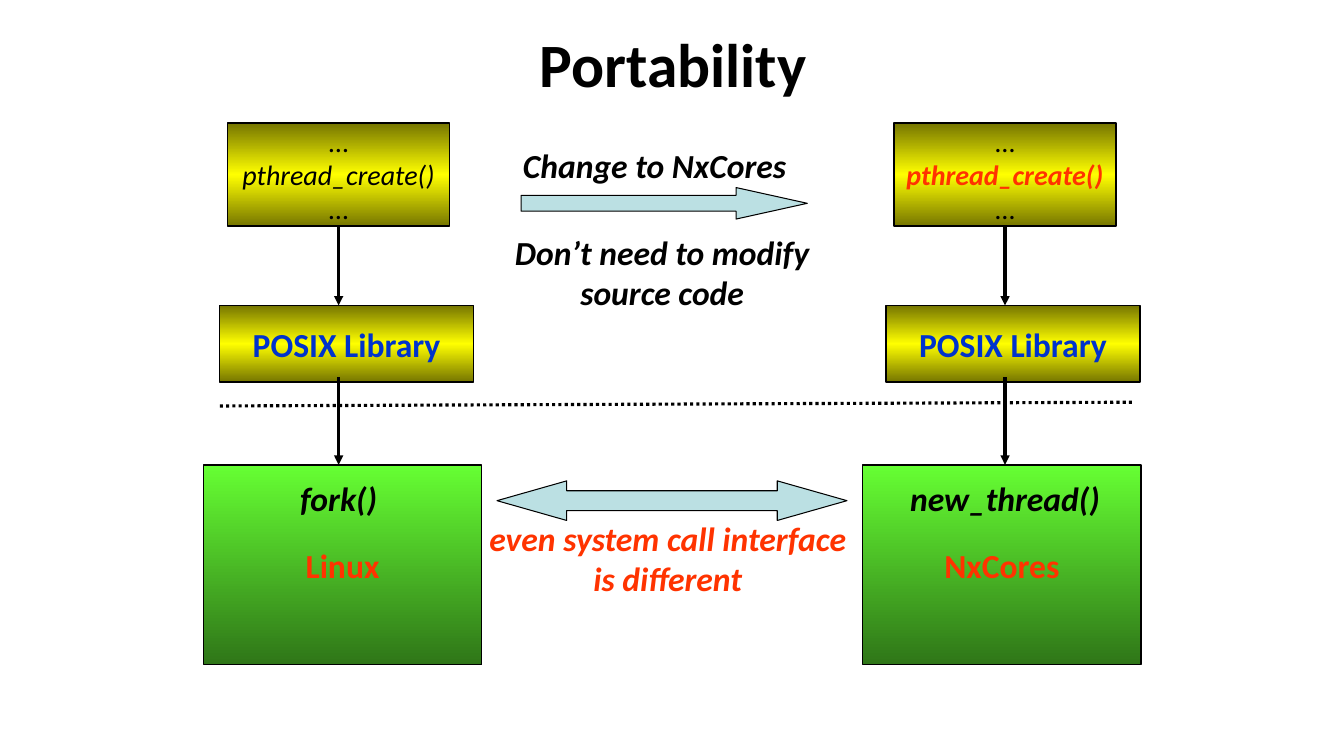
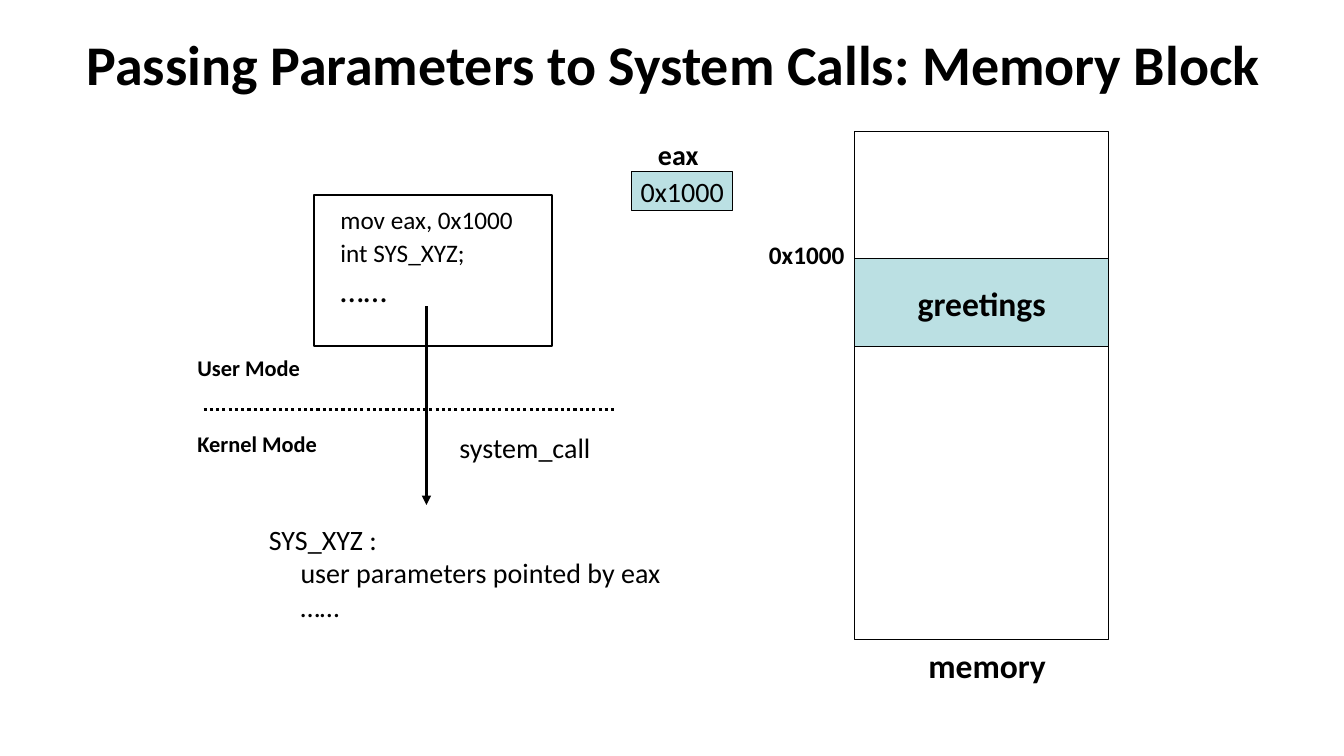
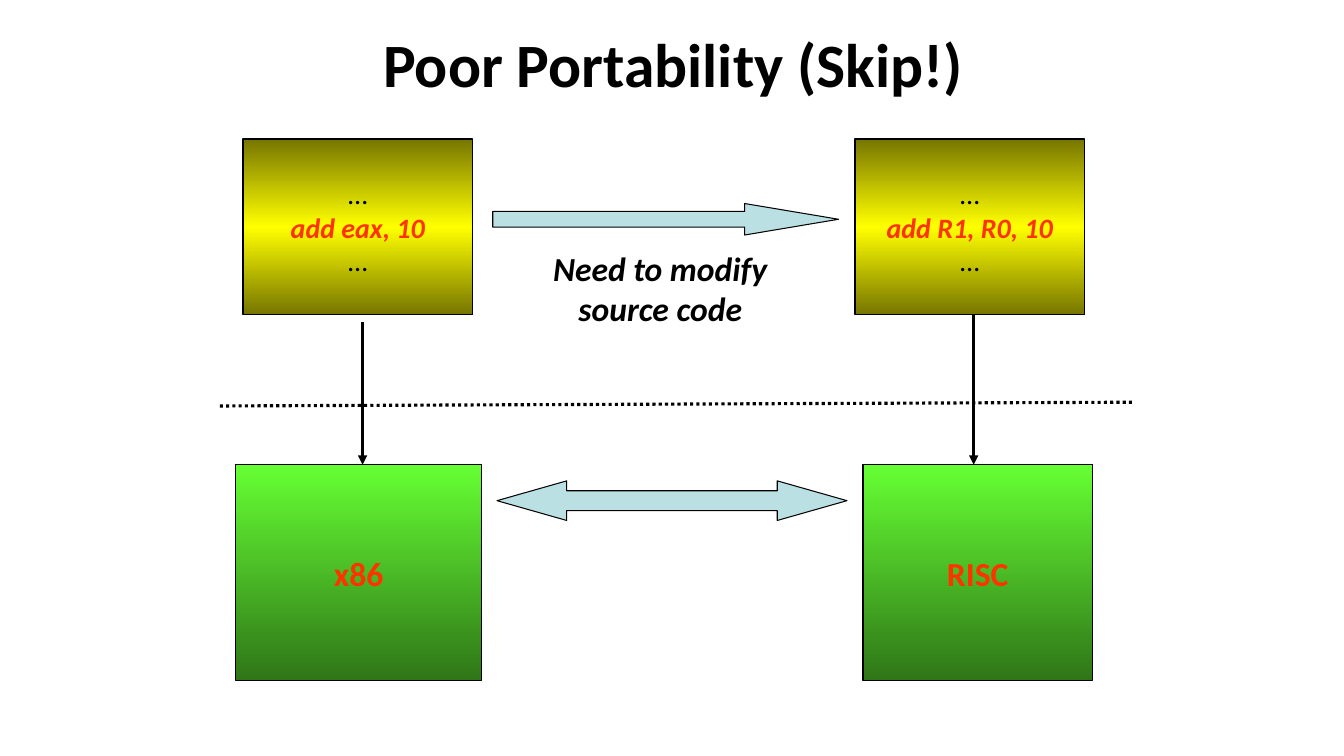
from collections import namedtuple
from dataclasses import dataclass, replace

from lxml.etree import SubElement
from pptx import Presentation
from pptx.dml.color import RGBColor
from pptx.enum.dml import MSO_LINE
from pptx.enum.shapes import MSO_CONNECTOR, MSO_SHAPE
from pptx.enum.text import MSO_ANCHOR, PP_ALIGN
from pptx.oxml.ns import qn
from pptx.util import Pt

BLACK = RGBColor(0x00, 0x00, 0x00)
RED = RGBColor(0xFF, 0x33, 0x00)
BLUE = RGBColor(0x00, 0x33, 0xCC)
PALE_BLUE = RGBColor(0xBB, 0xE0, 0xE3)
OLIVE = RGBColor(0x76, 0x76, 0x00)
YELLOW = RGBColor(0xFF, 0xFF, 0x00)
LIGHT_GREEN = RGBColor(0x66, 0xFF, 0x33)
DARK_GREEN = RGBColor(0x2F, 0x76, 0x18)

GOLD_BAND = [(0, OLIVE), (50, YELLOW), (100, OLIVE)]
GREEN_FADE = [(0, LIGHT_GREEN), (100, DARK_GREEN)]
FONT = "Calibri"
Box = namedtuple("Box", "left top width height")


@dataclass(frozen=True)
class Style:
    size: int = 20
    color: RGBColor = BLACK
    bold: bool = False
    italic: bool = False


PLAIN = Style()
CODE = Style(italic=True)
CHANGED_CODE = Style(color=RED, bold=True, italic=True)
HEADING = Style(24, bold=True)
NOTE = Style(24, bold=True, italic=True)
WARNING = replace(NOTE, color=RED)
SYSTEM = Style(24, RED, bold=True)
LIBRARY = Style(24, BLUE, bold=True)
MODE = Style(16, bold=True)


def write(frame, lines, align):
    for index, (text, style) in enumerate(lines):
        paragraph = frame.paragraphs[0] if index == 0 else frame.add_paragraph()
        paragraph.alignment = align
        run = paragraph.add_run()
        run.text = text
        run.font.name = FONT
        run.font.size = Pt(style.size)
        run.font.bold = style.bold
        run.font.italic = style.italic
        run.font.color.rgb = style.color


def add_text(slide, box, lines, align=PP_ALIGN.LEFT, anchor=MSO_ANCHOR.TOP):
    frame = slide.shapes.add_textbox(*map(Pt, box)).text_frame
    frame.word_wrap = True
    frame.vertical_anchor = anchor
    write(frame, lines, align)
    return frame


def paint(shape, fill):
    if fill is None:
        shape.fill.background()
    elif isinstance(fill, RGBColor):
        shape.fill.solid()
        shape.fill.fore_color.rgb = fill
    else:
        shape.fill.gradient()
        shape.fill.gradient_angle = 270
        stops = shape._element.spPr.find(".//" + qn("a:gsLst"))
        stops.clear()
        for position, color in fill:
            stop = SubElement(stops, qn("a:gs"), pos=str(position * 1000))
            SubElement(stop, qn("a:srgbClr"), val=str(color))


def add_block(slide, box, fill, lines=(), weight=1, kind=MSO_SHAPE.RECTANGLE):
    shape = slide.shapes.add_shape(kind, *map(Pt, box))
    shape.shadow.inherit = False
    paint(shape, fill)
    shape.line.color.rgb = BLACK
    shape.line.width = Pt(weight)
    shape.text_frame.word_wrap = False
    shape.text_frame.vertical_anchor = MSO_ANCHOR.MIDDLE
    write(shape.text_frame, lines, PP_ALIGN.CENTER)
    return shape


def add_block_arrow(slide, box, kind, head):
    arrow = add_block(slide, box, PALE_BLUE, weight=0.75, kind=kind)
    arrow.adjustments[0] = 0.5
    arrow.adjustments[1] = head


def add_line(slide, start, end, dotted=False, arrow=False):
    line = slide.shapes.add_connector(MSO_CONNECTOR.STRAIGHT, *map(Pt, (*start, *end)))
    line.line.color.rgb = BLACK
    line.line.width = Pt(2.25)
    if dotted:
        line.line.dash_style = MSO_LINE.ROUND_DOT
    properties = line._element.spPr
    if arrow:
        SubElement(properties.find(qn("a:ln")), qn("a:tailEnd"), type="triangle")
    SubElement(properties, qn("a:effectLst"))


def add_down_arrow(slide, x, top, bottom):
    add_line(slide, (x, top), (x, bottom), arrow=True)


def add_titled_slide(presentation, title, size=44):
    slide = presentation.slides.add_slide(presentation.slide_layouts[6])
    add_text(slide, Box(49, 0, 864, 90), [(title, Style(size, bold=True))],
             PP_ALIGN.CENTER, MSO_ANCHOR.MIDDLE)
    return slide


def add_divider(slide):
    add_line(slide, (157, 290), (808.5, 287.3), dotted=True)


def add_system_exchange(slide):
    add_block_arrow(slide, Box(355, 343.5, 250, 28.3), MSO_SHAPE.LEFT_RIGHT_ARROW, 1.76)


def source_lines(code, style):
    return [("…", PLAIN), (code, style), ("…", PLAIN)]


def add_posix_stack(slide, axis, code_style, system_left, call, system):
    add_block(slide, Box(axis - 79.2, 88, 158.4, 73.5), GOLD_BAND,
              source_lines("pthread_create()", code_style))
    add_block(slide, Box(system_left, 332.2, 198.7, 142.5), GREEN_FADE, [(system, SYSTEM)])
    add_down_arrow(slide, axis, 161.3, 218.2)
    add_block(slide, Box(axis - 85, 218.2, 181.4, 54.7), GOLD_BAND,
              [("POSIX Library", LIBRARY)])
    add_down_arrow(slide, axis, 269.3, 332)
    add_text(slide, Box(axis - 80, 337.7, 160, 36), [(call, NOTE)], PP_ALIGN.CENTER)


def add_native_stack(slide, code_left, code, system_box, system, axis, arrow_top):
    add_block(slide, Box(code_left, 99.4, 164.2, 125.3), GOLD_BAND,
              source_lines(code, CHANGED_CODE))
    add_block(slide, system_box, GREEN_FADE, [(system, SYSTEM)])
    add_down_arrow(slide, axis, arrow_top, system_box.top)


def build_portability(presentation):
    slide = add_titled_slide(presentation, "Portability")
    add_divider(slide)
    add_block_arrow(slide, Box(372.2, 134, 204.5, 22.5), MSO_SHAPE.RIGHT_ARROW, 2.26)
    add_text(slide, Box(366.5, 100, 225, 36), [("Change to NxCores", NOTE)])
    add_text(slide, Box(357, 162, 232, 65.5),
             [("Don’t need to modify", NOTE), ("source code", NOTE)], PP_ALIGN.CENTER)
    add_posix_stack(slide, 241.9, CODE, 145.4, "fork()", "Linux")
    add_posix_stack(slide, 717.9, CHANGED_CODE, 616.3, "new_thread()", "NxCores")
    add_system_exchange(slide)
    add_text(slide, Box(337, 366.5, 280, 65.5),
             [("even system call interface", WARNING), ("is different", WARNING)],
             PP_ALIGN.CENTER)


def add_program(slide, box):
    frame = add_text(slide, Box(box.left + 11.5, box.top + 5.7, 147.6, 98.6),
                     [("mov eax, 0x1000", Style(18)), ("int SYS_XYZ;", Style(18)),
                      ("……", Style(24))])
    for index, paragraph in enumerate(frame.paragraphs):
        paragraph.line_spacing = 0.9
        if index:
            paragraph.space_before = Pt(4)
    add_block(slide, box, None, weight=1.5)


def add_mode_boundary(slide, box):
    middle = box.top + box.height / 2
    add_text(slide, Box(box.left, box.top, 121, 26.6), [("User Mode", MODE)])
    add_line(slide, (box.left + 11.5, middle), (box.left + box.width, middle), dotted=True)
    add_text(slide, Box(box.left, box.top + 54.7, 121, 26.6), [("Kernel Mode", MODE)])
    add_text(slide, Box(box.left + 187.2, box.top + 54.7, 115, 31), [("system_call", PLAIN)])


def add_handler(slide, box):
    frame = add_text(slide, box, [("SYS_XYZ :", PLAIN),
                                  ("user parameters pointed by eax", PLAIN), ("……", PLAIN)])
    for paragraph in frame.paragraphs[1:]:
        paragraph._p.get_or_add_pPr().set("marL", str(Pt(22.6)))


def add_register(slide, box):
    add_text(slide, Box(box.left + 11.5, box.top - 28, 55, 31.5),
             [("eax", replace(PLAIN, bold=True))])
    add_block(slide, box, PALE_BLUE, [("0x1000", PLAIN)], 0.75)


def add_memory(slide, box):
    add_block(slide, box, None, weight=0.75)
    add_block(slide, Box(box.left, box.top + 90.7, box.width, 62.8), PALE_BLUE,
              [("greetings", HEADING)], 0.75)
    add_text(slide, Box(box.left - 68.4, box.top + 73.4, 75, 29),
             [("0x1000", Style(18, bold=True))])
    add_text(slide, Box(box.left + 45.4, box.top + box.height, 110, 36),
             [("memory", HEADING)])


def build_memory_block(presentation):
    slide = add_titled_slide(
        presentation, "Passing Parameters to System Calls: Memory Block", 40)
    add_program(slide, Box(224.6, 139.5, 170, 108))
    add_mode_boundary(slide, Box(133.9, 249.1, 306, 86.4))
    add_down_arrow(slide, 304.6, 218.9, 360.7)
    add_handler(slide, Box(185, 369.4, 351.4, 104.4))
    add_register(slide, Box(451.4, 122.4, 72, 28.3))
    add_memory(slide, Box(610.6, 94, 181.4, 363))


def build_poor_portability(presentation):
    slide = add_titled_slide(presentation, "Poor Portability (Skip!)")
    add_divider(slide)
    add_text(slide, Box(384.5, 173.5, 174.2, 65.5),
             [("Need to modify", NOTE), ("source code", NOTE)], PP_ALIGN.CENTER)
    add_block_arrow(slide, Box(352, 145.4, 247, 22.5), MSO_SHAPE.RIGHT_ARROW, 2.98)
    add_native_stack(slide, 173.5, "add eax, 10", Box(168.3, 332, 175.8, 154),
                     "x86", 259, 230)
    add_native_stack(slide, 610.6, "add R1, R0, 10", Box(616.3, 332, 164.2, 154),
                     "RISC", 695.5, 224.6)
    add_system_exchange(slide)


def main():
    presentation = Presentation()
    presentation.slide_width = Pt(960)
    presentation.slide_height = Pt(540)
    build_portability(presentation)
    build_memory_block(presentation)
    build_poor_portability(presentation)
    presentation.save("out.pptx")


if __name__ == "__main__":
    main()
